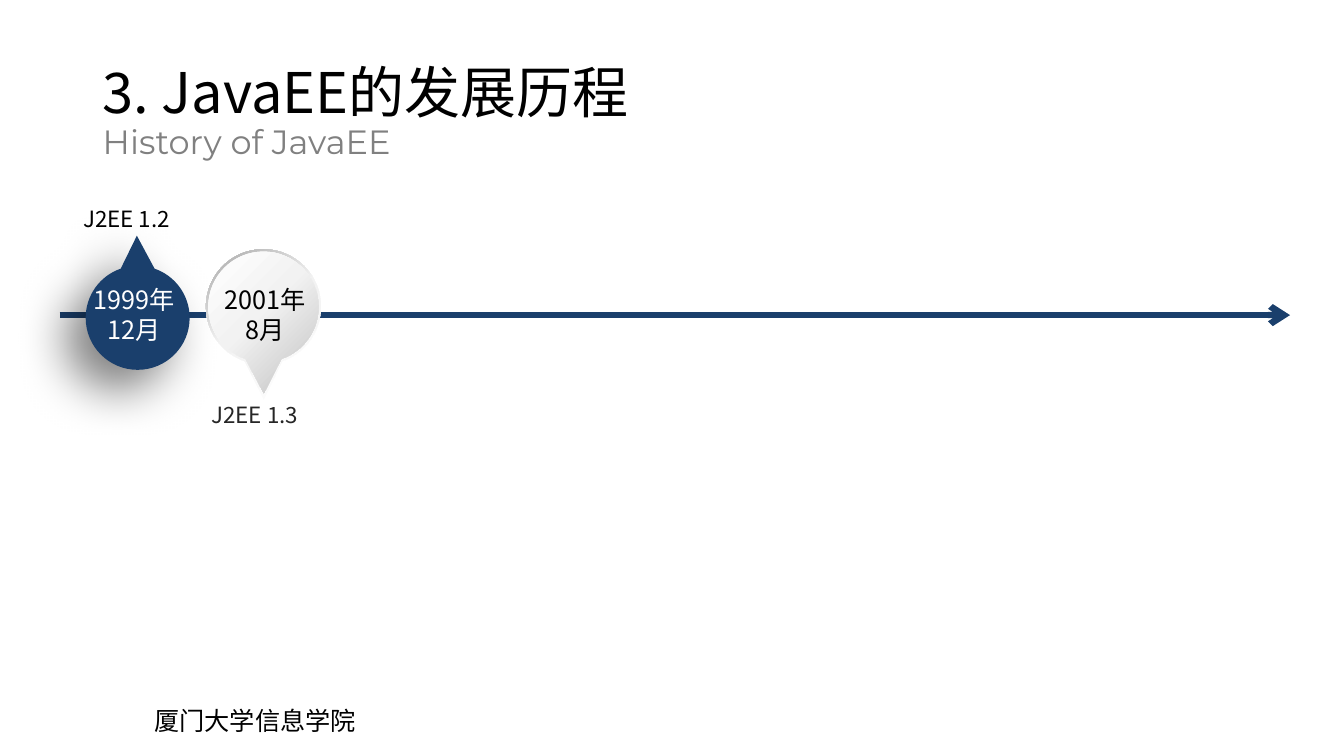
"""Build a JavaEE history slide with two pins on a timeline arrow."""
from copy import deepcopy
from math import cos, radians, sin, tan

from lxml.etree import SubElement
from pptx import Presentation
from pptx.dml.color import RGBColor
from pptx.enum.shapes import MSO_CONNECTOR
from pptx.enum.text import MSO_ANCHOR, PP_ALIGN
from pptx.oxml.ns import qn
from pptx.util import Cm, Pt

CJK = "Noto Sans CJK SC"
NAVY = "1A3F6C"
rgb = RGBColor.from_string


def add_text(box, lines, align=PP_ALIGN.LEFT, wrap=True):
    """Add a text box from paragraphs, each a list of (text, size, colour, font)."""
    tf = s.shapes.add_textbox(*[Cm(v) for v in box]).text_frame
    tf.word_wrap = wrap
    for i, runs in enumerate(lines):
        p = tf.paragraphs[0] if i == 0 else tf.add_paragraph()
        p.alignment = align
        for j, (text, size, color, font) in enumerate(runs):
            if j:
                p.add_line_break()
            r = p.add_run()
            r.text = text
            r.font.size = Pt(size)
            r.font.color.rgb = rgb(color)
            r.font.name = font
            SubElement(r.font._element, qn("a:ea"), typeface=font)
    return tf


def add_pin(cx, cy, radius, tip_x, tip_y):
    """Add a round pin of four Bezier arcs, pointing at the tip."""
    heading = 90 if tip_y > cy else -90
    angles = [radians(heading + a) for a in (19, 90, 180, 270, 341)]
    points = [(cx + radius * cos(angles[0]), cy + radius * sin(angles[0]))]
    for a, b in zip(angles, angles[1:]):
        k = 4 / 3 * tan((b - a) / 4)
        for x, y in [(cos(a) - k * sin(a), sin(a) + k * cos(a)),
                     (cos(b) + k * sin(b), sin(b) - k * cos(b)),
                     (cos(b), sin(b))]:
            points.append((cx + radius * x, cy + radius * y))
    builder = s.shapes.build_freeform(Cm(tip_x), Cm(tip_y))
    builder.add_line_segments([(Cm(x), Cm(y)) for x, y in points], close=True)
    sp = builder.convert_to_shape()
    segments = list(sp._element.spPr.iter(qn("a:lnTo")))[1:13]
    for i in range(0, 12, 3):
        curve = segments[i].makeelement(qn("a:cubicBezTo"))
        segments[i].addprevious(curve)
        for segment in segments[i:i + 3]:
            curve.append(segment[0])
            segment.getparent().remove(segment)
    sp.shadow.inherit = False
    sp.line.fill.background()
    return sp


prs = Presentation()
prs.slide_width, prs.slide_height = Cm(33.87), Cm(19.05)
s = prs.slides.add_slide(prs.slide_layouts[6])

add_text((3.64, 17.65, 5.64, 1.02), [[("厦门大学信息学院", 18, "000000", CJK)]], wrap=False)
title = add_text((2.34, 1.02, 29.21, 3.68), [[
    ("3. JavaEE的发展历程", 40, "000000", CJK),
    ("History of JavaEE", 24, "808080", "Montserrat"),
]])
title.vertical_anchor = MSO_ANCHOR.MIDDLE
title.paragraphs[0].line_spacing = 0.9

axis = s.shapes.add_connector(MSO_CONNECTOR.STRAIGHT, Cm(1.5), Cm(7.94), Cm(32.51), Cm(7.94))
axis.line.color.rgb = rgb(NAVY)
axis.line.width = Pt(4.5)
SubElement(axis.line._get_or_add_ln(), qn("a:tailEnd"), type="arrow")
SubElement(axis._element.spPr, qn("a:effectLst"))

pin = add_pin(3.47, 8.01, 1.31, 3.45, 5.94)
pin.fill.solid()
pin.fill.fore_color.rgb = rgb(NAVY)
effects = pin._element.spPr.find(qn("a:effectLst"))
shadow = SubElement(effects, qn("a:outerShdw"), blurRad=str(Pt(35)), dist=str(Pt(20)),
                    dir=str(135 * 60000), algn="tr", rotWithShape="0")
black = SubElement(shadow, qn("a:srgbClr"), val="000000")
SubElement(black, qn("a:alpha"), val="50000")

add_text((1.85, 5.04, 3.25, 0.94), [[("J2EE 1.2", 16, "000000", CJK)]])
add_text((5.08, 9.98, 3.15, 0.94), [[("J2EE 1.3", 16, "262626", CJK)]])

for radius, tip_y, middle, end_color, angle in [
    (1.45, 10.06, 0.55, "A6A6A6", 235),
    (1.39, 9.91, 0.45, "BFBFBF", 45),
]:
    pin = add_pin(6.64, 7.73, radius, 6.65, tip_y)
    pin.fill.gradient()
    pin.fill.gradient_angle = 360 - angle
    first = pin._element.spPr.find(".//" + qn("a:gs"))
    first.addnext(deepcopy(first))
    colors = [(0, "FFFFFF"), (middle, "F2F2F2"), (1, end_color)]
    for stop, (position, color) in zip(pin.fill.gradient_stops, colors):
        stop.position = position
        stop.color.rgb = rgb(color)

add_text((2.01, 7.03, 2.74, 1.8), [[("1999年12月", 18, "FFFFFF", CJK)]], PP_ALIGN.CENTER)
add_text((5.33, 7.03, 2.72, 1.8),
         [[(text, 18, "000000", CJK)] for text in ("2001年", "8月")], PP_ALIGN.CENTER)

prs.save("out.pptx")
